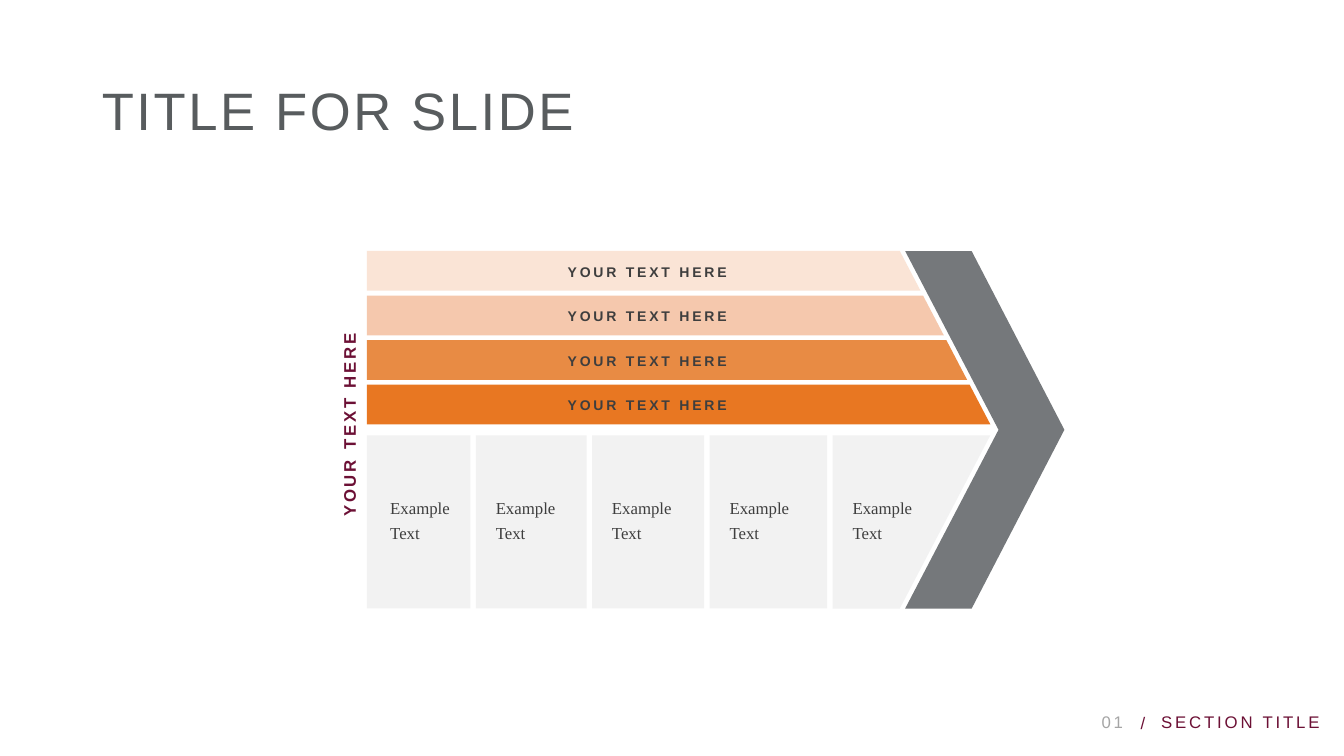
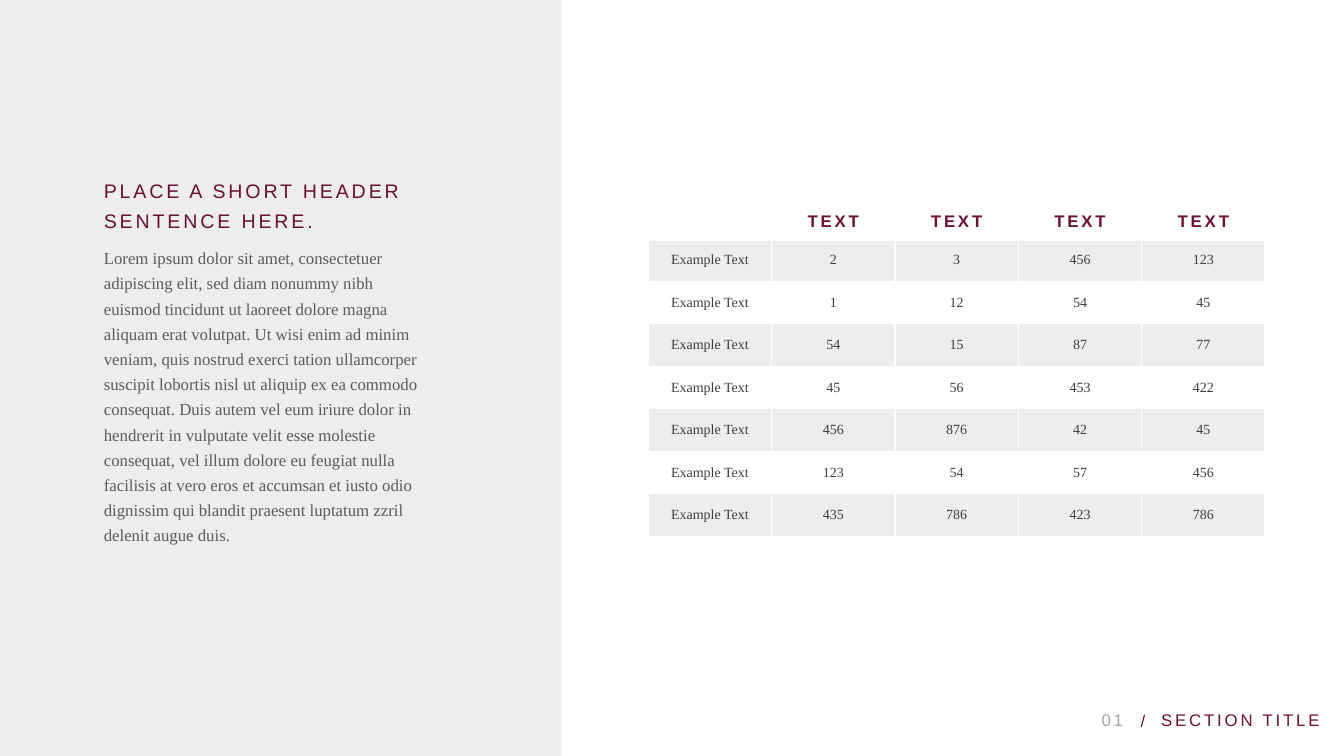
import collections

import pptx
import pptx.dml.color
import pptx.enum.shapes
import pptx.enum.text
import pptx.oxml
import pptx.oxml.ns
import pptx.util

RGBColor = pptx.dml.color.RGBColor
ALIGN = pptx.enum.text.PP_ALIGN
ANCHOR = pptx.enum.text.MSO_ANCHOR
RECTANGLE = pptx.enum.shapes.MSO_SHAPE.RECTANGLE
Pt = pptx.util.Pt

# Colours
MAROON = RGBColor(0x6C, 0x10, 0x35)
SLATE = RGBColor(0x58, 0x5C, 0x5E)
CHARCOAL = RGBColor(0x3E, 0x3E, 0x3E)
SILVER = RGBColor(0xA5, 0xA5, 0xA5)
STEEL = RGBColor(0x75, 0x78, 0x7B)
MIST = RGBColor(0xED, 0xED, 0xED)
PALE = RGBColor(0xF2, 0xF2, 0xF2)
ORANGES = [
    RGBColor(0xFA, 0xE4, 0xD6),
    RGBColor(0xF5, 0xC8, 0xAD),
    RGBColor(0xE8, 0x8B, 0x44),
    RGBColor(0xE8, 0x77, 0x22),
]

# Text styles: letter spacing in points, line spacing in lines or points
Style = collections.namedtuple("Style", "font size color bold spacing line")
SANS, SERIF = "Arial", "Times New Roman"
TITLE = Style(SANS, 37.6, SLATE, False, 1.9, 0.9)
HEADER = Style(SANS, 14, MAROON, False, 2, Pt(21))
BODY = Style(SERIF, 12, SLATE, False, 0, Pt(18))
EXAMPLE = Style(SERIF, 12, CHARCOAL, False, 0, Pt(18))
BAND_LABEL = Style(SANS, 10, CHARCOAL, True, 2, 1.0)
STRONG = Style(SANS, 12, MAROON, True, 2, 1.0)
FIGURE = Style(SERIF, 10, CHARCOAL, False, 0, 1.0)
SECTION = Style(SANS, 12, MAROON, False, 2, 0.9)
PAGE = SECTION._replace(color=SILVER)

deck = pptx.Presentation()
deck.slide_width = pptx.util.Inches(13.33)
deck.slide_height = pptx.util.Inches(7.5)

# All places are percentages of the slide's width and height
COL = deck.slide_width / 100
ROW = deck.slide_height / 100


def write(frame, text, style, align):
    paragraph = frame.paragraphs[0]
    paragraph.alignment = align
    paragraph.line_spacing = style.line
    run = paragraph.add_run()
    run.text = text
    run.font.name = style.font
    run.font.size = Pt(style.size)
    run.font.bold = style.bold
    run.font.color.rgb = style.color
    run._r.get_or_add_rPr().set("spc", str(int(style.spacing * 100)))


def add_text(slide, left, top, width, height, text, style,
             align=ALIGN.LEFT, anchor=ANCHOR.TOP, inset=0.05):
    box = slide.shapes.add_textbox(
        int(left * COL), int(top * ROW), int(width * COL), int(height * ROW))
    frame = box.text_frame
    frame.word_wrap = True
    frame.vertical_anchor = anchor
    frame.margin_left = frame.margin_right = pptx.util.Inches(inset)
    write(frame, text, style, align)
    return box


blank = deck.slide_layouts[6]
arrow_slide = deck.slides.add_slide(blank)
table_slide = deck.slides.add_slide(blank)

# Arrow: measures
LEFT, TOP, BOTTOM = 27.3, 33.2, 80.5
MIDDLE = (TOP + BOTTOM) / 2
NOTCH, TIP = 74.3, 79.2
BACK, SHOULDER = 67.35, 72.3
SLOPE = (NOTCH - BACK) / (MIDDLE - TOP)
GAP = 0.4
BAND_HEIGHT, BAND_PITCH = 5.25, 5.9
COLUMN_TOP = 57.6


def edge(y):
    return NOTCH - GAP - SLOPE * abs(y - MIDDLE)


# Arrow: head and the four bands that end at its slant
outlines = [([(TIP, MIDDLE), (SHOULDER, TOP), (BACK, TOP), (NOTCH, MIDDLE),
              (BACK, BOTTOM), (SHOULDER, BOTTOM)], STEEL)]
band_tops = [TOP + i * BAND_PITCH for i in range(len(ORANGES))]
for top, color in zip(band_tops, ORANGES):
    low = top + BAND_HEIGHT
    outlines.append(
        ([(LEFT, top), (edge(top), top), (edge(low), low), (LEFT, low)], color))

# Arrow: columns, the last one cut by the slant
column_lefts = [LEFT, 35.4, 44.05, 52.8, 61.95]
last = column_lefts[-1]
outlines.append(([(last, COLUMN_TOP), (edge(COLUMN_TOP), COLUMN_TOP),
                  (edge(BOTTOM), BOTTOM), (last, BOTTOM)], PALE))

filled = []
for points, color in outlines:
    corners = [(round(x * COL), round(y * ROW)) for x, y in points]
    builder = arrow_slide.shapes.build_freeform(*corners[0])
    builder.add_line_segments(corners[1:], close=True)
    filled.append((builder.convert_to_shape(), color))
for left, following in zip(column_lefts, column_lefts[1:]):
    column = arrow_slide.shapes.add_shape(
        RECTANGLE, int(left * COL), int(COLUMN_TOP * ROW),
        int((following - GAP - left) * COL), int((BOTTOM - COLUMN_TOP) * ROW))
    filled.append((column, PALE))

# Side panel of the table slide
panel = table_slide.shapes.add_shape(
    RECTANGLE, 0, 0, int(41.78 * COL), deck.slide_height)
filled.append((panel, MIST))

for shape, color in filled:
    shape.shadow.inherit = False
    shape.fill.solid()
    shape.fill.fore_color.rgb = color
    shape.line.fill.background()

# Arrow: labels
for top in band_tops:
    add_text(arrow_slide, 36.98, top + 0.95, 22.35, 3.35, "YOUR TEXT HERE",
             BAND_LABEL, ALIGN.CENTER, inset=0.1)
for left, indent in zip(column_lefts, [1, 0.75, 0.75, 0.75, 0.75]):
    add_text(arrow_slide, left + indent, 64.5, 7.2, 7.6, "Example Text",
             EXAMPLE, inset=0.1)
side_label = add_text(arrow_slide, 18.3, 54.27, 15.3, 3.87, "YOUR TEXT HERE",
                      STRONG, ALIGN.CENTER, inset=0.1)
side_label.rotation = 270

add_text(arrow_slide, 7.2, 9.73, 46.8, 9.73, "TITLE FOR SLIDE", TITLE,
         anchor=ANCHOR.BOTTOM)

# Panel text
add_text(table_slide, 7.35, 22.27, 32.1, 9.2,
         "PLACE A SHORT HEADER SENTENCE HERE.", HEADER)
add_text(table_slide, 7.35, 31.47, 24.15, 48.53,
         "Lorem ipsum dolor sit amet, consectetuer adipiscing elit, sed diam "
         "nonummy nibh euismod tincidunt ut laoreet dolore magna aliquam erat "
         "volutpat. Ut wisi enim ad minim veniam, quis nostrud exerci tation "
         "ullamcorper suscipit lobortis nisl ut aliquip ex ea commodo "
         "consequat. Duis autem vel eum iriure dolor in hendrerit in vulputate "
         "velit esse molestie consequat, vel illum dolore eu feugiat nulla "
         "facilisis at vero eros et accumsan et iusto odio dignissim qui "
         "blandit praesent luptatum zzril delenit augue duis.", BODY)

# Table
figures = [
    (2, 3, 456, 123),
    (1, 12, 54, 45),
    (54, 15, 87, 77),
    (45, 56, 453, 422),
    (456, 876, 42, 45),
    (123, 54, 57, 456),
    (435, 786, 423, 786),
]
records = [[""] + ["TEXT"] * 4] + [["Example Text", *row] for row in figures]
HEAD_HEIGHT, RECORD_HEIGHT = 4.53, 5.62
grid = table_slide.shapes.add_table(
    len(records), 5, int(48.23 * COL), int(27.07 * ROW), int(45.9 * COL),
    int((HEAD_HEIGHT + RECORD_HEIGHT * len(figures)) * ROW)).table
grid.first_row = grid.horz_banding = False

for r, record in enumerate(records):
    grid.rows[r].height = int((RECORD_HEIGHT if r else HEAD_HEIGHT) * ROW)
    for c, value in enumerate(record):
        cell = grid.cell(r, c)
        cell.vertical_anchor = ANCHOR.MIDDLE
        cell.margin_top = cell.margin_bottom = 0
        # White rules, heavier around the foot of the heading row
        for side in "LRTB":
            heavy = (r, side) in [(0, "B"), (1, "T")]
            cell._tc.get_or_add_tcPr().append(pptx.oxml.parse_xml(
                f'<a:ln{side} {pptx.oxml.ns.nsdecls("a")} '
                f'w="{Pt(3 if heavy else 1)}"><a:solidFill>'
                f'<a:srgbClr val="FFFFFF"/></a:solidFill></a:ln{side}>'))
        if r % 2:
            cell.fill.solid()
            cell.fill.fore_color.rgb = MIST
        else:
            cell.fill.background()
        if value != "":
            write(cell.text_frame, str(value), FIGURE if r else STRONG,
                  ALIGN.CENTER)

# Footers
for slide, top in [(arrow_slide, 91.47), (table_slide, 91.2)]:
    for left, drop, width, text, style, align in [
        (86.03, 0, 13.97, "SECTION TITLE", SECTION, ALIGN.LEFT),
        (48.23, 0, 35.7, "01", PAGE, ALIGN.RIGHT),
        (83.55, 0.13, 2.03, "/", SECTION, ALIGN.RIGHT),
    ]:
        add_text(slide, left, top + drop, width, 6, text, style, align,
                 ANCHOR.BOTTOM)

deck.save("out.pptx")
